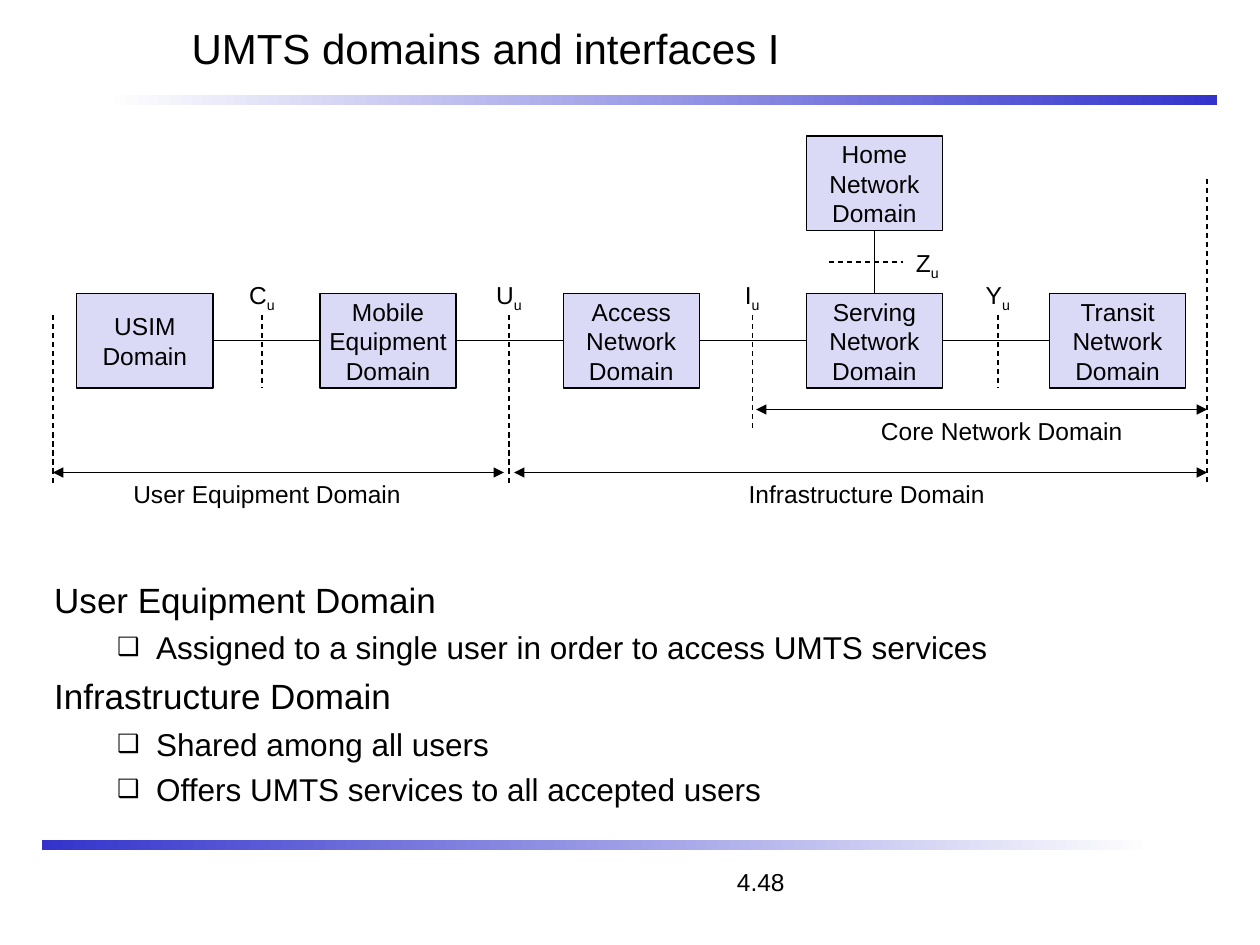
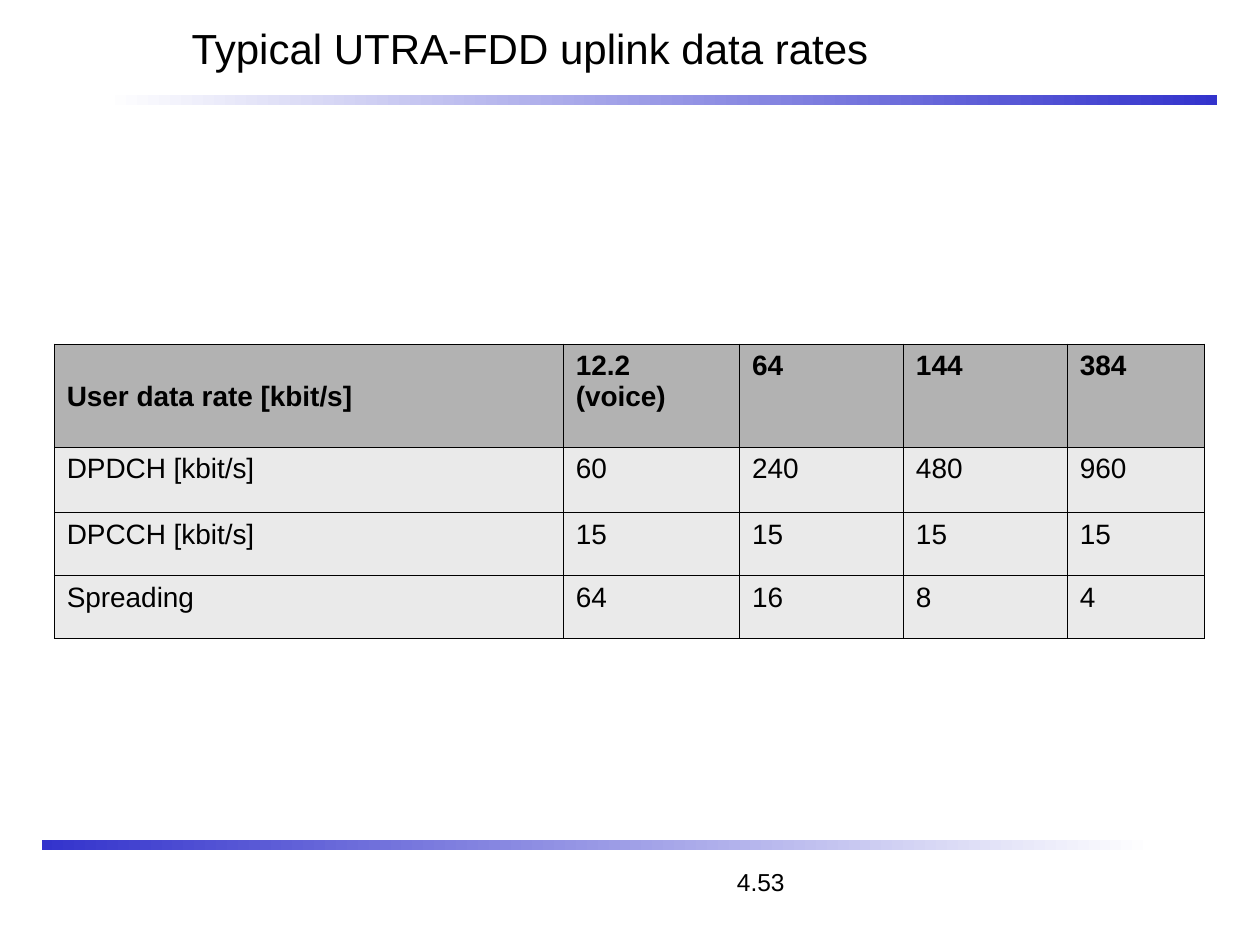
from dataclasses import dataclass

from lxml.etree import SubElement
from pptx import Presentation
from pptx.dml.color import RGBColor
from pptx.enum.dml import MSO_LINE
from pptx.enum.shapes import MSO_CONNECTOR as CONNECTOR, MSO_SHAPE as SHAPE
from pptx.enum.text import MSO_ANCHOR as ANCHOR, MSO_AUTO_SIZE as AUTO_SIZE, PP_ALIGN as ALIGN
from pptx.oxml.ns import qn
from pptx.util import Inches, Pt

TOP, LEFT, BOTTOM, RIGHT = range(4)  # connection sites of a rectangle


@dataclass(frozen=True)
class Theme:
    font: str = "Arial"
    ink: str = "000000"
    paper: str = "FFFFFF"
    band: str = "3333CC"
    domain: str = "DADAF6"
    header: str = "B2B2B2"
    body: str = "EAEAEA"
    title_size: float = 24
    topic_size: float = 20
    point_size: float = 18
    table_size: float = 16
    label_size: float = 14
    line: float = 0.75
    grid: float = 0.34


def rgb(value):
    return RGBColor.from_string(value)


def add_xml(parent, tag, **attributes):
    return SubElement(parent, qn(tag), **attributes)


class Deck:
    def __init__(self, theme):
        self.theme = theme
        self.prs = Presentation()
        self.prs.slide_width, self.prs.slide_height = Inches(10), Inches(7.5)
        self.slide = None

    def new_slide(self, layout, title, number):
        """Start a slide with the shared title, bands and page number."""
        t = self.theme
        self.slide = self.prs.slides.add_slide(self.prs.slide_layouts.get_by_name(layout))
        self.band(0.83, 0.75, t.paper, t.band)
        self.band(0.33, 6.67, t.band, t.paper)
        heading = self.slide.shapes.title
        frame = self.place(heading, 1.42, 0, 8.42, 0.75)
        frame.vertical_anchor = ANCHOR.MIDDLE
        frame.paragraphs[0].alignment = ALIGN.LEFT
        self.run(frame.paragraphs[0], title, t.title_size)
        self.page_number(number)

    def place(self, holder, x, y, w, h):
        holder.left, holder.top = Inches(x), Inches(y)
        holder.width, holder.height = Inches(w), Inches(h)
        holder.text_frame.auto_size = AUTO_SIZE.NONE
        return holder.text_frame

    def run(self, paragraph, text, size, bold=False):
        run = paragraph.add_run()
        run.text = text
        run.font.name, run.font.size, run.font.bold = self.theme.font, Pt(size), bold
        run.font.color.rgb = rgb(self.theme.ink)
        return run

    def rectangle(self, x, y, w, h):
        shape = self.slide.shapes.add_shape(
            SHAPE.RECTANGLE, Inches(x), Inches(y), Inches(w), Inches(h))
        shape.shadow.inherit = False
        return shape

    def band(self, x, y, start, end):
        band = self.rectangle(x, y, 8.83, 0.08)
        band.line.fill.background()
        band.fill.gradient()
        band.fill.gradient_angle = 0
        for stop, color in zip(band.fill.gradient_stops, (start, end)):
            stop.color.rgb = rgb(color)

    def page_number(self, number):
        box = self.slide.shapes.add_textbox(
            Inches(0.33), Inches(6.83), Inches(8.75), Inches(0.33))
        box.text_frame.word_wrap = True
        paragraph = box.text_frame.paragraphs[0]
        tabs = add_xml(paragraph._p.get_or_add_pPr(), "a:tabLst")
        add_xml(tabs, "a:tab", pos=str(Inches(5.42)), algn="l")
        self.run(paragraph, f"\t{number}", self.theme.label_size)

    def outline(self, items):
        """Fill the body placeholder with (level, text) items."""
        t = self.theme
        frame = self.place(self.slide.placeholders[1], 0.33, 4.54, 9.33, 2.05)
        for i, (level, text) in enumerate(items):
            paragraph = frame.add_paragraph() if i else frame.paragraphs[0]
            paragraph.level = level
            size = t.point_size if level else t.topic_size
            paragraph.space_before = Pt(size / 4 if i else 0)
            margin, indent = (0.81, -0.31) if level else (0.38, -0.38)
            props = paragraph._p.get_or_add_pPr()
            props.set("marL", str(Inches(margin)))
            props.set("indent", str(Inches(indent)))
            if level:
                add_xml(add_xml(props, "a:buClr"), "a:srgbClr", val=t.ink)
                add_xml(props, "a:buSzPct", val="80000")
                add_xml(props, "a:buChar", char="❑")
            else:
                add_xml(props, "a:buNone")
            self.run(paragraph, text, size)

    def domain(self, x, y, words):
        box = self.rectangle(x, y, 1.08, 0.75)
        box.fill.solid()
        box.fill.fore_color.rgb = rgb(self.theme.domain)
        box.line.color.rgb = rgb(self.theme.ink)
        box.line.width = Pt(self.theme.line)
        frame = box.text_frame
        frame.word_wrap = False
        frame.vertical_anchor = ANCHOR.MIDDLE
        for i, word in enumerate(words):
            paragraph = frame.add_paragraph() if i else frame.paragraphs[0]
            paragraph.alignment = ALIGN.CENTER
            self.run(paragraph, word, self.theme.label_size)
        return box

    def line(self, x1=0, y1=0, x2=0, y2=0, dashed=False, arrows=False):
        line = self.slide.shapes.add_connector(
            CONNECTOR.STRAIGHT, Inches(x1), Inches(y1), Inches(x2), Inches(y2))
        line.line.color.rgb = rgb(self.theme.ink)
        line.line.width = Pt(self.theme.line)
        if dashed:
            line.line.dash_style = MSO_LINE.DASH
        if arrows:
            for end in ("a:headEnd", "a:tailEnd"):
                add_xml(line.line._get_or_add_ln(), end, type="triangle")
        add_xml(line._element.spPr, "a:effectLst")
        return line

    def link(self, start, start_site, end, end_site):
        line = self.line()
        line.begin_connect(start, start_site)
        line.end_connect(end, end_site)

    def label(self, center, y, w, h, text, subscript=""):
        """Centre a one-line label; slim side insets keep it on its line."""
        box = self.slide.shapes.add_textbox(
            Inches(center - w / 2), Inches(y), Inches(w), Inches(h))
        frame = box.text_frame
        frame.word_wrap = False
        frame.auto_size = AUTO_SIZE.SHAPE_TO_FIT_TEXT
        frame.margin_left = frame.margin_right = Inches(0.03)
        paragraph = frame.paragraphs[0]
        paragraph.alignment = ALIGN.CENTER
        self.run(paragraph, text, self.theme.label_size)
        if subscript:
            lowered = self.run(paragraph, subscript, self.theme.label_size)
            lowered._r.get_or_add_rPr().set("baseline", "-25000")

    def table(self, x, y, widths, heights, rows):
        table = self.slide.shapes.add_table(
            len(rows), len(widths), Inches(x), Inches(y),
            Inches(sum(widths)), Inches(sum(heights))).table
        for column, width in zip(table.columns, widths):
            column.width = Inches(width)
        for r, (height, values) in enumerate(zip(heights, rows)):
            table.rows[r].height = Inches(height)
            for c, value in enumerate(values):
                self.cell(table.cell(r, c), value, header=r == 0)
        return table

    def cell(self, cell, value, header):
        t = self.theme
        self.run(cell.text_frame.paragraphs[0], value, t.table_size, bold=header)
        props = cell._tc.get_or_add_tcPr()
        for side in ("a:lnL", "a:lnR", "a:lnT", "a:lnB"):
            border = add_xml(props, side, w=str(Pt(t.grid)))
            add_xml(add_xml(border, "a:solidFill"), "a:srgbClr", val=t.ink)
        cell.fill.solid()
        cell.fill.fore_color.rgb = rgb(t.header if header else t.body)


def domains_slide(deck):
    deck.new_slide("Title and Content", "UMTS domains and interfaces I", "4.48")
    deck.outline([
        (0, "User Equipment Domain"),
        (1, "Assigned to a single user in order to access UMTS services"),
        (0, "Infrastructure Domain"),
        (1, "Shared among all users"),
        (1, "Offers UMTS services to all accepted users"),
    ])

    # Chain of domains, with the home network above the serving network
    names = ("USIM", "Mobile Equipment", "Access Network", "Serving Network", "Transit Network")
    chain = [deck.domain(0.61 + 1.93 * i, 2.33, [*name.split(), "Domain"])
             for i, name in enumerate(names)]
    home = deck.domain(6.4, 1.08, ["Home", "Network", "Domain"])
    for left, right in zip(chain, chain[1:]):
        deck.link(left, RIGHT, right, LEFT)
    deck.link(chain[3], TOP, home, BOTTOM)

    # Interfaces between the domains
    for name, x, bottom in (("C", 2.08, 3.08), ("U", 4.04, 3.83),
                            ("I", 5.97, 3.42), ("Y", 7.92, 3.08)):
        deck.line(x, 2.5, x, bottom, dashed=True)
        deck.label(x, 2.17, 0.4, 0.37, name, "u")
    deck.line(6.58, 2.08, 7.17, 2.08, dashed=True)
    deck.label(7.36, 1.92, 0.38, 0.37, "Z", "u")

    # Outer limits and the spans of the grouped domains
    for x, top in ((0.42, 2.5), (9.58, 1.42)):
        deck.line(x, top, x, 3.83, dashed=True)
    for name, start, end, y, center, width in (
            ("User Equipment Domain", 0.42, 4, 3.75, 2.12, 2.32),
            ("Core Network Domain", 6, 9.58, 3.25, 7.95, 2.12),
            ("Infrastructure Domain", 4.08, 9.58, 3.75, 6.88, 2.07)):
        deck.line(start, y, end, y, arrows=True)
        deck.label(center, y, width, 0.34, name)


def rates_slide(deck):
    deck.new_slide("Title Only", "Typical UTRA-FDD uplink data rates", "4.53")
    rates = deck.table(0.43, 2.73, (4.04, 1.4, 1.3, 1.3, 1.09), (0.82, 0.52, 0.5, 0.5), [
        ("User data rate [kbit/s]", "12.2 (voice)", "64", "144", "384"),
        ("DPDCH [kbit/s]", "60", "240", "480", "960"),
        ("DPCCH [kbit/s]", "15", "15", "15", "15"),
        ("Spreading", "64", "16", "8", "4"),
    ])
    rates.cell(0, 0).margin_top = Inches(0.3)  # one line lower than its row


def main():
    deck = Deck(Theme())
    domains_slide(deck)
    rates_slide(deck)
    deck.prs.save("out.pptx")


if __name__ == "__main__":
    main()
